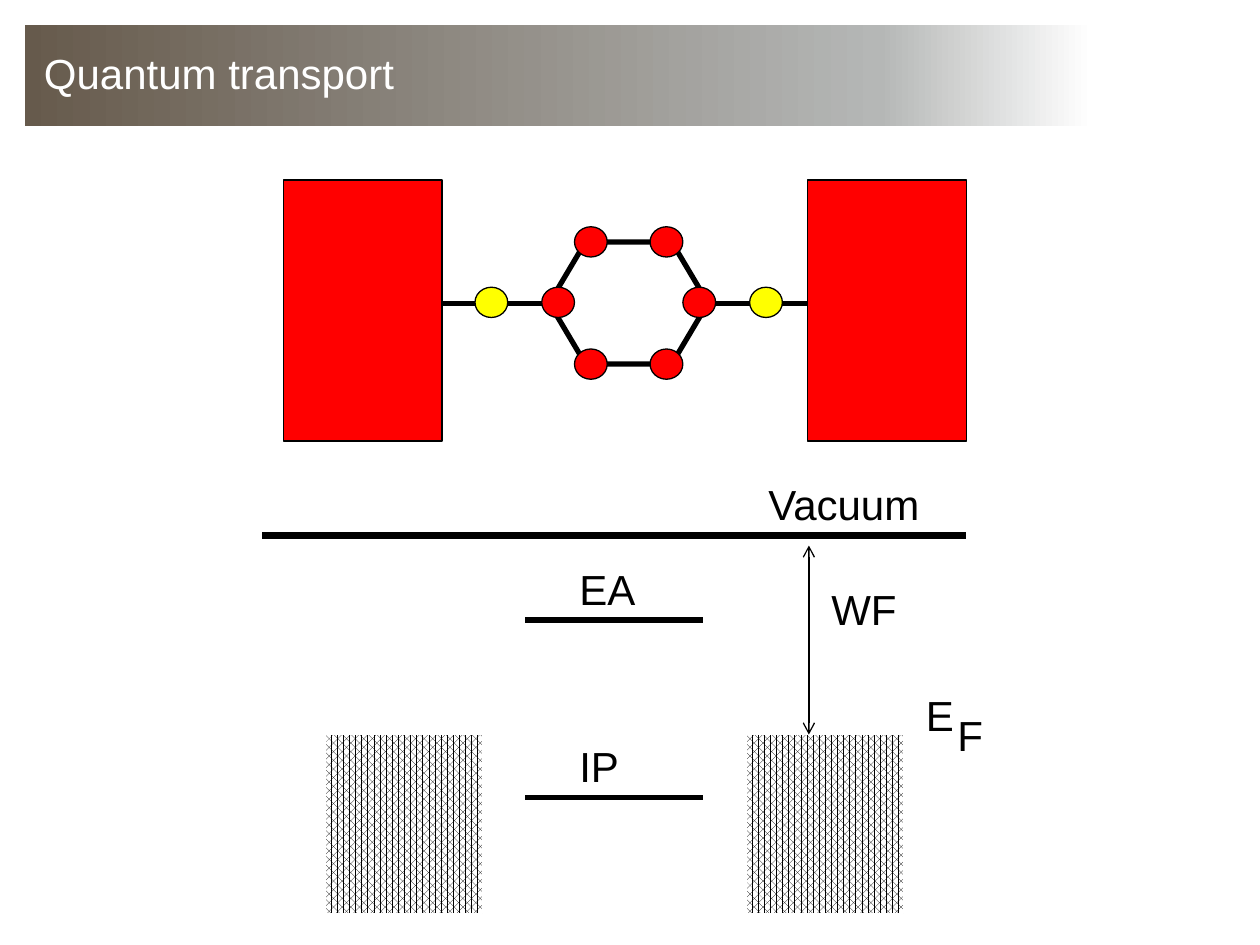
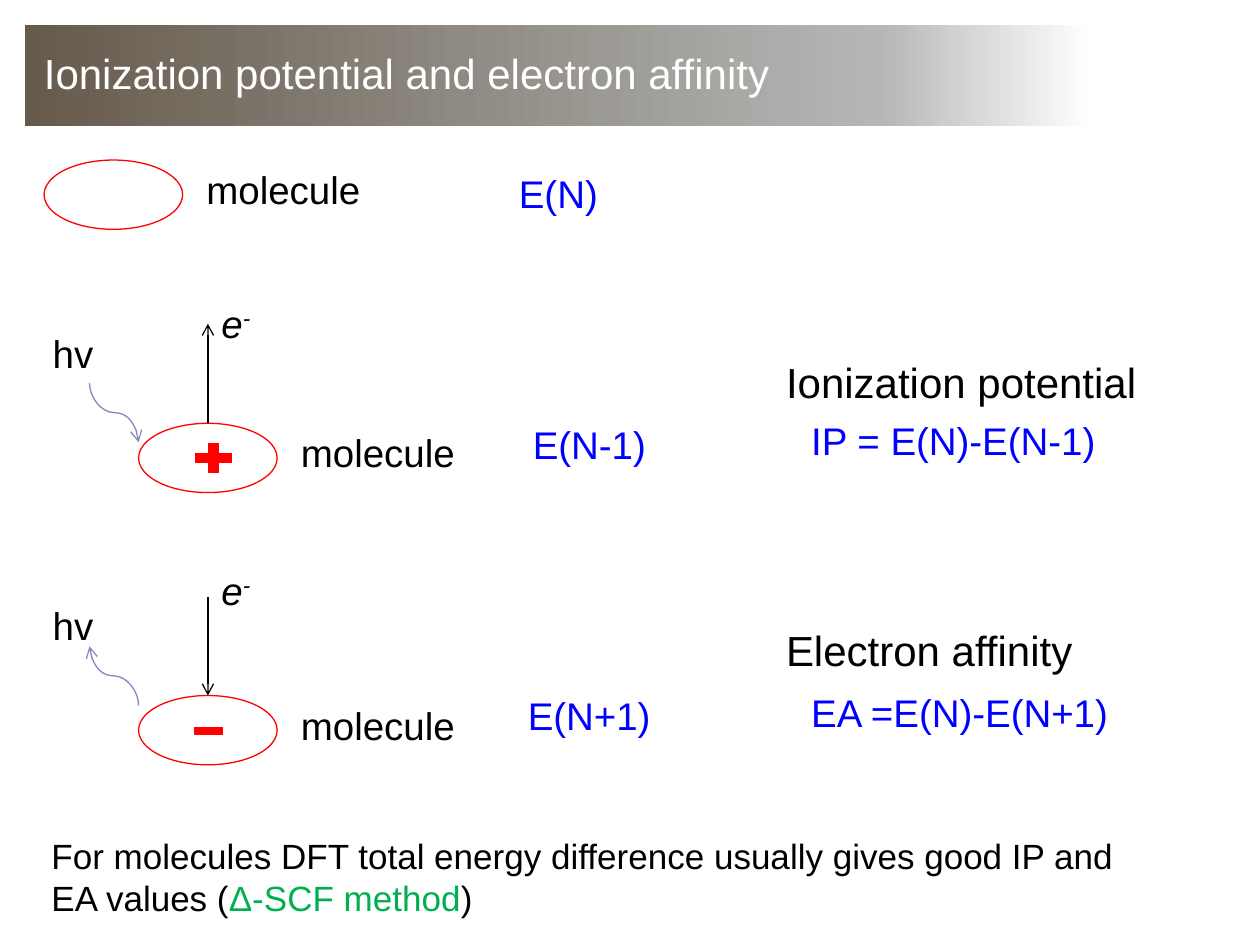
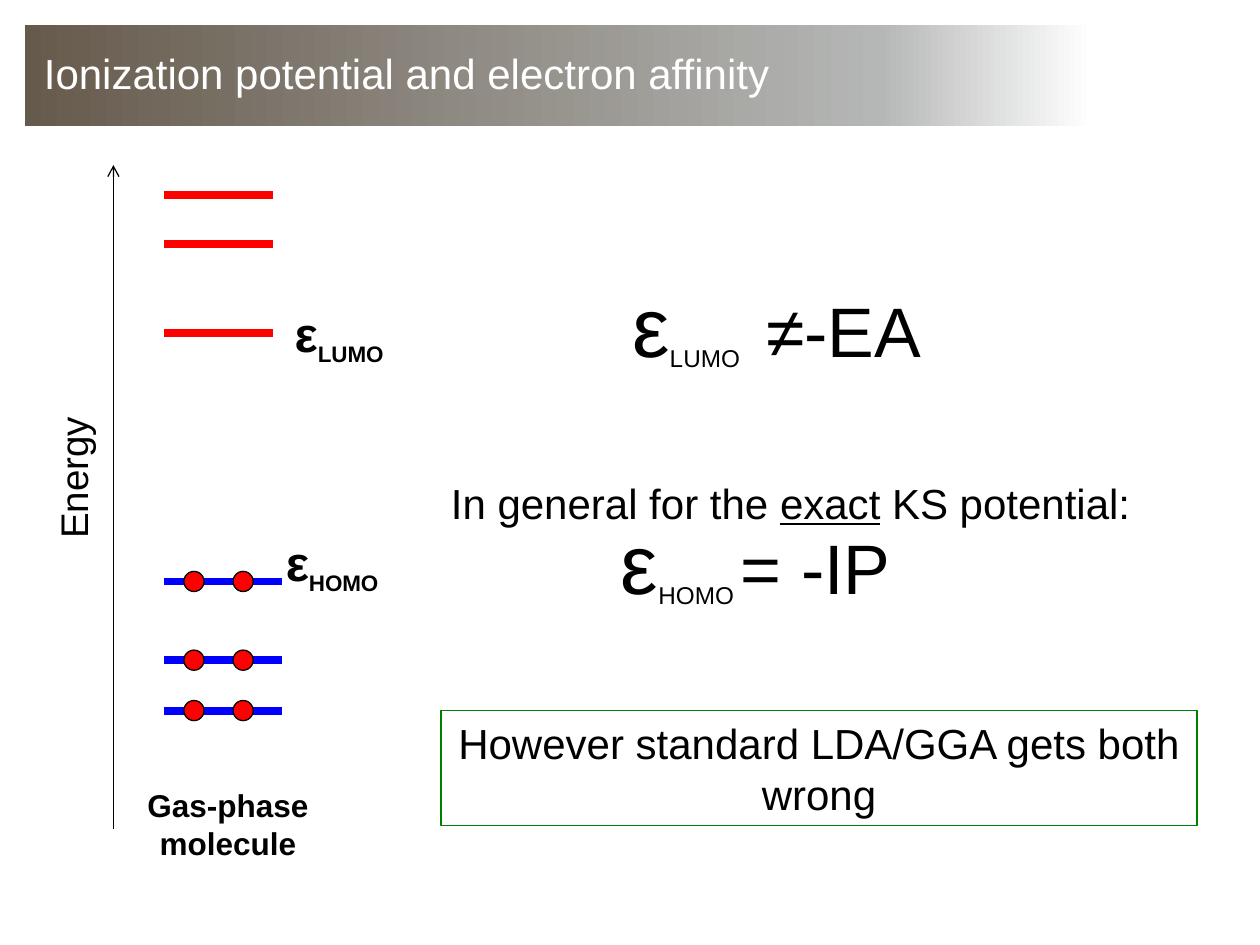
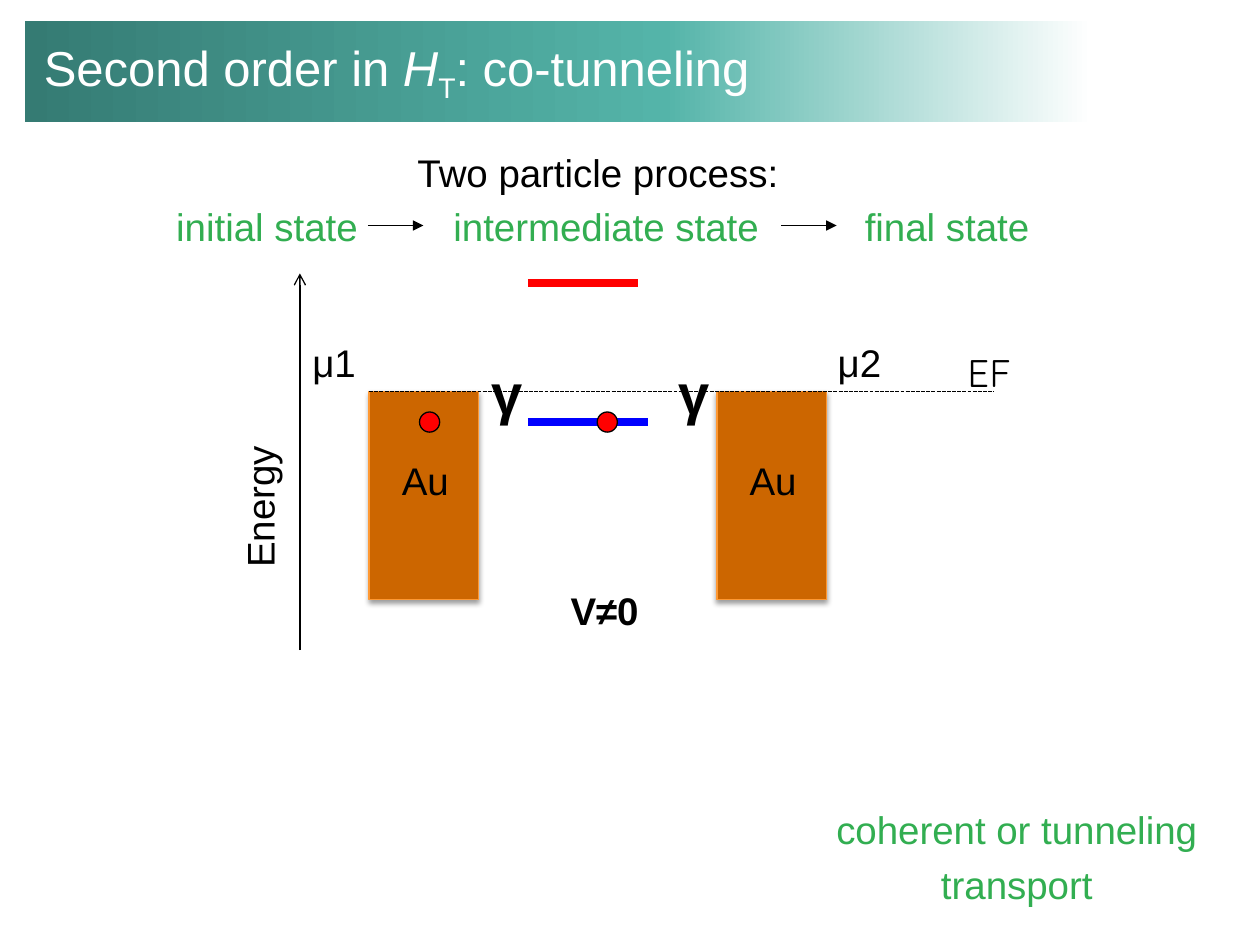
from lxml import etree
from pptx import Presentation
from pptx import util as u
from pptx.dml.color import RGBColor
from pptx.enum import dml, shapes, text
from pptx.oxml.ns import qn

COLORS = {
    "black": "000000", "white": "FFFFFF", "red": "FF0000", "yellow": "FFFF00",
    "blue": "0000FF", "green": "32AE51", "method": "00B050", "frame": "008000",
    "photon": "8886C0", "gold": "CC6600", "gold edge": "FF9933",
}
BROWN_BAND = ((0, "665A4C"), (80, "B5B7B6"), (100, "FFFFFF"))
TEAL_BAND = ((0, "357B73"), (60, "54B4A9"), (100, "FFFFFF"))
COLUMNS, ROWS = 100, 75
RECT, OVAL = shapes.MSO_SHAPE.RECTANGLE, shapes.MSO_SHAPE.OVAL
STRAIGHT, CURVE = shapes.MSO_CONNECTOR.STRAIGHT, shapes.MSO_CONNECTOR.CURVE
CENTER = text.PP_ALIGN.CENTER


def rgb(name):
    return RGBColor.from_string(COLORS[name])


def add_xml(parent, tag, **attributes):
    child = etree.SubElement(parent, qn("a:" + tag))
    for key, value in attributes.items():
        child.set(key, str(value))
    return child


class Deck:
    """Holds the style and the current slide; positions are in grid cells."""

    def __init__(self):
        self.show = Presentation()
        self.show.slide_width, self.show.slide_height = u.Inches(10), u.Inches(7.5)
        self.slide = None

    def x(self, columns):
        return u.Emu(round(self.show.slide_width * columns / COLUMNS))

    def y(self, rows):
        return u.Emu(round(self.show.slide_height * rows / ROWS))

    def place(self, at):
        left, top, width, height = at
        return self.x(left), self.y(top), self.x(width), self.y(height)

    def new_slide(self, title, band=BROWN_BAND, band_top=2, title_top=3.3, size=24):
        self.slide = self.show.slides.add_slide(self.show.slide_layouts[6])
        bar = self.shape(RECT, (2, band_top, 84.7, 8), line=None)
        bar.fill.gradient()
        bar.fill.gradient_angle = 0
        stops = bar._element.spPr.find(qn("a:gradFill")).find(qn("a:gsLst"))
        for stop in list(stops):
            stops.remove(stop)
        for share, color in band:
            add_xml(add_xml(stops, "gs", pos=share * 1000), "srgbClr", val=color)
        self.text((2.5, title_top, 80.8, 6.7), title, size=size, color="white")

    def shape(self, kind, at, fill=None, line="black", width=0.75):
        shape = self.slide.shapes.add_shape(kind, *self.place(at))
        shape.shadow.inherit = False
        if fill:
            shape.fill.solid()
            shape.fill.fore_color.rgb = rgb(fill)
        else:
            shape.fill.background()
        if line:
            shape.line.color.rgb = rgb(line)
            shape.line.width = u.Pt(width)
        else:
            shape.line.fill.background()
        return shape

    def dot(self, x, y, width=1.6, height=1.6, fill="red"):
        """Outlined disc centred on a point."""
        return self.shape(OVAL, (x - width / 2, y - height / 2, width, height), fill)

    def drop_shadow(self, shape):
        effects = shape._element.spPr.find(qn("a:effectLst"))
        shadow = add_xml(effects, "outerShdw", blurRad=u.Pt(3.1), dist=u.Pt(1.6),
                         dir=5400000, rotWithShape=0)
        add_xml(add_xml(shadow, "srgbClr", val=COLORS["black"]), "alpha", val=38000)

    def sea(self, at):
        """Block of filled electron states, hatched inside and on its edge."""
        block = self.shape(RECT, at)
        for fill in (block.fill, block.line.fill):
            fill.patterned()
            fill.pattern = dml.MSO_PATTERN.PERCENT_70
            fill.fore_color.rgb, fill.back_color.rgb = rgb("black"), rgb("white")

    def line(self, start, end, color="black", width=0.75, head=None, tail=None,
             dash=None, kind=STRAIGHT, turn=0):
        link = self.slide.shapes.add_connector(
            kind, self.x(start[0]), self.y(start[1]), self.x(end[0]), self.y(end[1]))
        link.line.color.rgb = rgb(color)
        link.line.width = u.Pt(width)
        if dash:
            link.line.dash_style = dash
        properties = link._element.spPr
        for tag, tip in (("headEnd", head), ("tailEnd", tail)):
            if tip:
                add_xml(properties.find(qn("a:ln")), tag, type=tip)
        add_xml(properties, "effectLst")
        if turn:
            properties.find(qn("a:xfrm")).set("rot", str(turn * 60000))
        return link

    def level(self, x, y, length, color="black", width=4.5):
        self.line((x, y), (x + length, y), color, width)

    def text(self, at, *paragraphs, rotation=0, wrap=True, **style):
        box = self.slide.shapes.add_textbox(*self.place(at))
        box.rotation = rotation
        box.text_frame.word_wrap = wrap
        return self.fill_frame(box.text_frame, *paragraphs, **style)

    def fill_frame(self, frame, *paragraphs, size=22, color="black", bold=None,
                   align=None, font="Arial", tabs=()):
        """Each paragraph is a string or a list of strings and (string, style) pairs."""
        for index, content in enumerate(paragraphs):
            para = frame.paragraphs[0] if index == 0 else frame.add_paragraph()
            pieces = [content] if isinstance(content, str) else content
            if index:
                para.space_before = u.Pt(5)
            if "\t" in pieces[0]:
                stops = add_xml(para._p.get_or_add_pPr(), "tabLst")
                for tab in tabs:
                    add_xml(stops, "tab", pos=self.x(tab), algn="l")
            else:
                para.alignment = align
            para.font.name, para.font.size, para.font.bold = font, u.Pt(size), bold
            para.font.color.rgb = rgb(color)
            for piece in pieces:
                words, style = (piece, {}) if isinstance(piece, str) else piece
                self.style_run(para.add_run(), words, **style)
        return frame

    def style_run(self, run, words, size=None, color=None, italic=None,
                  underline=None, base=0):
        run.text = words
        if size:
            run.font.size = u.Pt(size)
        if color:
            run.font.color.rgb = rgb(color)
        if italic:
            run.font.italic = True
        if underline:
            run.font.underline = True
        if base:
            run._r.get_or_add_rPr().set("baseline", str(base * 1000))

    def energy_axis(self, x, bottom, top, label_at):
        self.line((x, bottom), (x, top), tail="arrow")
        self.text((*label_at, 12.6, 4.7), "Energy", rotation=270)


def quantum_transport(deck):
    deck.new_slide("Quantum transport")
    axis = 24.1
    deck.line((64.8, axis), (55.5, axis), width=3)
    deck.line((44.3, axis), (35.1, axis), width=3)
    for electrode in (22.5, 64.1):
        deck.shape(RECT, (electrode, 14.3, 12.6, 20.7), "red")
    ring = deck.shape(shapes.MSO_SHAPE.HEXAGON, (43.6, 19.2, 12.6, 9.7), width=3)
    ring.adjustments[0] = 0.297
    carbons = [(x, y) for y in (19.2, 28.9) for x in (46.9, 52.9)]
    for x, y in carbons + [(44.3, 24), (55.5, 24)]:
        deck.dot(x, y, 2.6, 2.4)
    for sulfur in (39, 60.8):
        deck.dot(sulfur, 24, 2.6, 2.4, "yellow")

    deck.level(20.8, 42.5, 55.9)
    for sea in (25.8, 59.2):
        deck.sea((sea, 58.3, 12.5, 14.2))
    for y in (63.3, 49.2):
        deck.level(41.7, y, 14.1, width=3)
    deck.line((64.2, 43.3), (64.2, 58.3), head="arrow", tail="arrow")
    for label, x, y, width in (("Vacuum", 60, 37.5, 14.2), ("E", 72.5, 54.2, 6.7),
                               ("F", 75, 55.8, 6.7), ("EA", 45, 44.2, 6.7),
                               ("IP", 45, 58.3, 6.7), ("WF", 65, 45.8, 8.3)):
        deck.text((x, y, width, 5.7), label, size=24)


def charged_molecule(deck, top, sign, sign_at, electron_top):
    """Ellipse with its charge, electron label and photon label."""
    oval = deck.shape(OVAL, (11, top, 11, 5.5), line="red")
    deck.shape(sign, sign_at, "red", "red")
    deck.text((3.2, top - 7.9, 7.9, 4.7), "hv")
    deck.text((16.6, electron_top, 4.7, 4.7), [("e", {"italic": True}),
                                               ("-", {"italic": True, "base": 30})])
    deck.text((22.9, top, 15, 4.7), "molecule")
    return oval


def energy_differences(deck):
    deck.new_slide("Ionization potential and electron affinity")
    deck.shape(OVAL, (3.5, 12.7, 11, 5.5), line="red")
    deck.text((15.4, 12.7, 15, 4.7), "molecule")

    cation = charged_molecule(deck, 33.6, shapes.MSO_SHAPE.MATH_PLUS,
                              (15, 34.8, 3.9, 3.1), 23.3)
    leaving = deck.line((16.5, 33.6), (16.5, 25.7), tail="arrow")
    leaving.begin_connect(cation, 0)
    deck.line((11.4, 30.8), (6.7, 34.7), "photon", tail="arrow", kind=CURVE, turn=270)

    anion = charged_molecule(deck, 55.2, shapes.MSO_SHAPE.MATH_MINUS,
                             (15, 56.8, 3.1, 2.4), 44.5)
    arriving = deck.line((16.5, 47.4), (16.5, 55.2), tail="arrow")
    arriving.end_connect(anion, 0)
    deck.line((6.7, 55.6), (11.4, 51.7), "photon", tail="arrow", kind=CURVE, turn=270)

    for energy, x, y, width in (("E(N)", 40.2, 13, 8.7), ("E(N-1)", 41.3, 32.9, 11.1),
                                ("E(N+1)", 40.9, 54.4, 11.8),
                                ("IP = E(N)-E(N-1)", 63.4, 32.6, 33.4),
                                ("EA =E(N)-E(N+1)", 63.4, 54.2, 35)):
        deck.text((x, y, width, 4.7), energy, color="blue")
    for heading, y, width in (("Ionization potential", 27.8, 30.1),
                              ("Electron affinity", 49.1, 25)):
        deck.text((61.4, y, width, 5), heading, size=24, wrap=False)
    deck.text((3.1, 65.7, 87.9, 7.7),
              ["For molecules DFT total energy difference usually gives good IP and "
               "EA values (", ("Δ-SCF method", {"color": "method"}), ")"], size=20)


def orbital_energies(deck):
    deck.new_slide("Ionization potential and electron affinity")
    for empty in (26.4, 19.4, 15.45):
        deck.level(13, empty, 8.7, "red")
    for occupied in (46.15, 52.4, 56.4):
        deck.level(13, occupied, 9.4, "blue")
        for electron in (15.4, 19.3):
            deck.dot(electron, occupied)
    deck.text((10.6, 61.9, 15, 7.1), "Gas-phase molecule", size=18, bold=True,
              align=CENTER)
    deck.energy_axis(9, 65.8, 13.1, (-0.5, 35.1))
    for orbital, x, y, width in (("HOMO", 21.7, 41.8, 15.7), ("LUMO", 22.4, 23.6, 12.6)):
        deck.text((x, y, width, 5.7), ["ε", (orbital, {"size": 22, "base": -25})],
                  size=28, bold=True)
    deck.text((34.8, 37.4, 67.5, 5), ["In general for the ", ("exact", {"underline": True}),
                                      " KS potential:"], size=24)
    for orbital, relation, x, y, width in (("LUMO ", " ≠-EA", 49.2, 21.2, 26.7),
                                           ("HOMO ", "= -IP", 48.3, 40, 25.2)):
        deck.text((x, y, width, 9.1), ["ε", (orbital, {"size": 24, "base": -25}),
                                       (relation, {"size": 40})], size=48)
    warning = deck.shape(RECT, (35, 56.4, 60, 9.1), line="frame").text_frame
    warning.word_wrap = True
    deck.fill_frame(warning, "However standard LDA/GGA gets both wrong", size=24,
                    align=CENTER)


def co_tunneling(deck):
    deck.new_slide(["Second order in ", ("H", {"italic": True}), ("T", {"base": -25}),
                    ": co-tunneling"], TEAL_BAND, 1.7, 2.5, 28)
    deck.text((63, 63.5, 35.4, 9.2), "coherent or tunneling", "transport",
              color="green", align=CENTER)
    for contact, potential, potential_x in ((56.9, "μ2", 65.5), (29.3, "μ1", 23.8)):
        deck.drop_shadow(deck.shape(RECT, (contact, 31.1, 8.7, 16.5), "gold", "gold edge"))
        deck.text((contact + 1.6, 35.8, 7.1, 4.7), "Au")
        deck.text((potential_x, 26.4, 7.1, 4.7), potential)
    deck.level(41.9, 33.5, 9.5, "blue")
    deck.level(41.9, 22.45, 8.7, "red")
    deck.energy_axis(23.8, 51.6, 21.7, (14.3, 37.4))
    for coupling in (38, 52.9):
        deck.text((coupling, 28, 3.9, 6.4), "γ", size=32, bold=True)
    deck.line((29.3, 31.1), (78.9, 31.1), dash=dml.MSO_LINE.SQUARE_DOT)
    for electron in (48.2, 34.1):
        deck.dot(electron, 33.5)
    deck.text((75.8, 27.2, 7.1, 4.7), "EF", font="Quicksand")
    deck.text((44.3, 46.1, 9.4, 4.7), "V≠0", bold=True)
    process = deck.text((6.5, 11.3, 81.9, 9.2), "Two particle process:",
                        "\tinitial state\tintermediate state\tfinal state",
                        align=CENTER, tabs=(6.5, 28.5, 61.15))
    process.paragraphs[1].font.color.rgb = rgb("green")
    for step in (29.2, 62):
        deck.line((step, 17.9), (step + 4.4, 17.9), tail="triangle")


def main():
    deck = Deck()
    for build in (quantum_transport, energy_differences, orbital_energies, co_tunneling):
        build(deck)
    deck.show.save("out.pptx")


if __name__ == "__main__":
    main()
